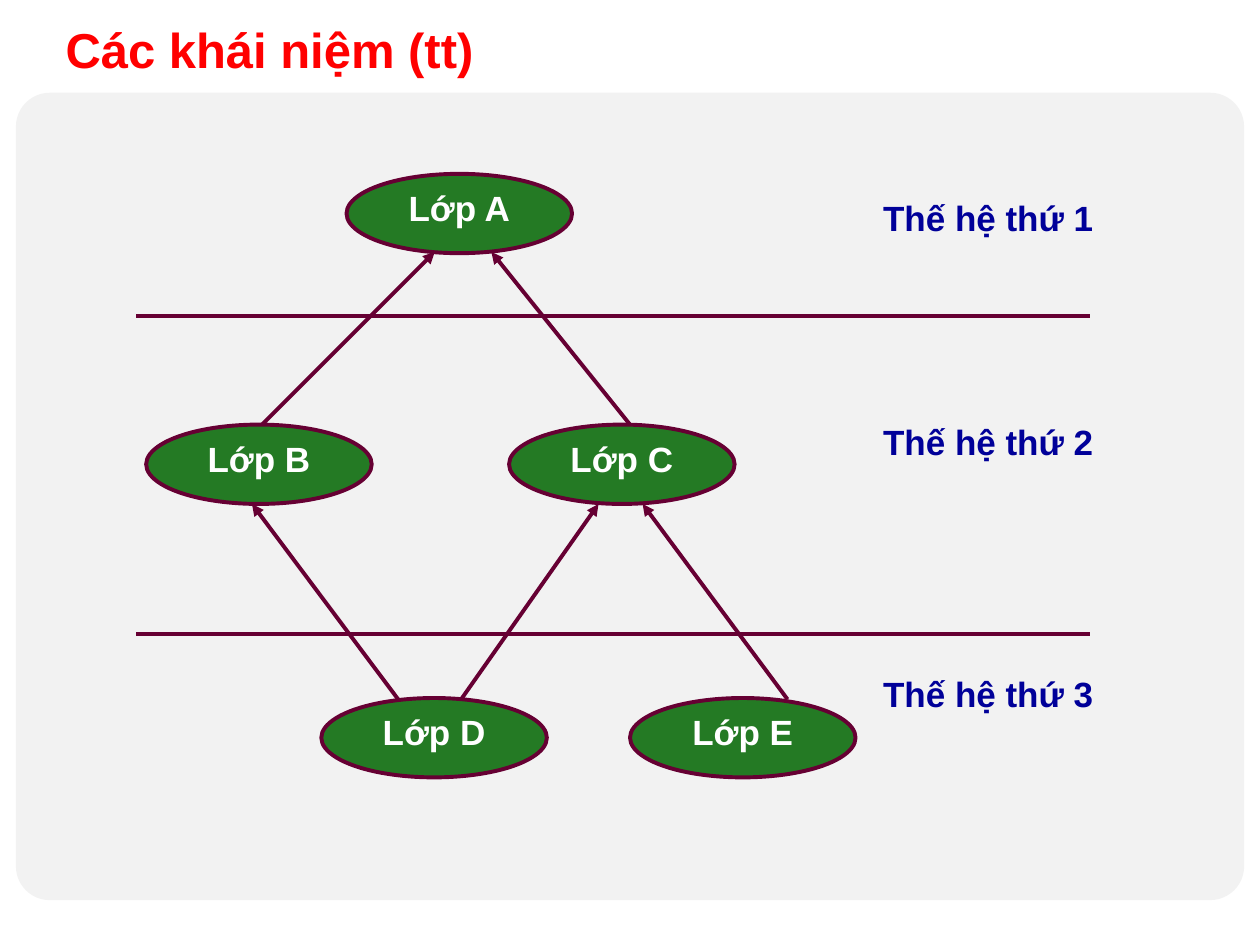
from lxml import etree
from pptx import Presentation
from pptx.dml.color import RGBColor
from pptx.enum.shapes import MSO_CONNECTOR, MSO_SHAPE
from pptx.enum.text import MSO_ANCHOR, PP_ALIGN
from pptx.oxml.ns import qn
from pptx.util import Inches, Pt

STRAIGHT = MSO_CONNECTOR.STRAIGHT
OVAL, ROUNDED = MSO_SHAPE.OVAL, MSO_SHAPE.ROUNDED_RECTANGLE
TOP, MIDDLE = MSO_ANCHOR.TOP, MSO_ANCHOR.MIDDLE
LEFT, CENTER = PP_ALIGN.LEFT, PP_ALIGN.CENTER


def rgb(value):
    """Turn a hex string into a colour."""
    return RGBColor.from_string(value)


def write(sp, text, size, color, align=LEFT, anchor=TOP):
    """Put one bold Arial line into a shape."""
    tf = sp.text_frame
    tf.text = text
    tf.word_wrap = True
    tf.vertical_anchor = anchor
    p = tf.paragraphs[0]
    p.alignment = align
    font = p.runs[0].font
    font.name, font.size, font.bold = "Arial", Pt(size), True
    font.color.rgb = rgb(color)


prs = Presentation()
prs.slide_width, prs.slide_height = Inches(10), Inches(7.5)
s = prs.slides.add_slide(prs.slide_layouts[5])

title = s.shapes.title
title.left, title.top = Inches(0.42), Inches(0.01)
title.width, title.height = Inches(8.66), Inches(0.75)
write(title, "Các khái niệm (tt)", 28, "FF0000", anchor=MIDDLE)

panel = s.shapes.add_shape(ROUNDED, Inches(0.14), Inches(0.75), Inches(9.72), Inches(6.38))
panel.adjustments[0] = 0.04
panel.shadow.inherit = False
panel.fill.solid()
panel.fill.fore_color.rgb = panel.line.color.rgb = rgb("F2F2F2")
panel.line.width = Pt(2)

# Class ovals: left edge and the top of their generation row
ROW_1, ROW_2, ROW_3 = 1.38, 3.37, 5.54
classes = {"A": (2.75, ROW_1), "B": (1.16, ROW_2), "C": (4.04, ROW_2),
           "D": (2.55, ROW_3), "E": (5, ROW_3)}
for name, (x, y) in classes.items():
    sp = s.shapes.add_shape(OVAL, Inches(x), Inches(y), Inches(1.79), Inches(0.63))
    sp.shadow.inherit = False
    sp.fill.solid()
    sp.fill.fore_color.rgb = rgb("006600")
    fill_color = sp.fill._xPr.find(qn("a:solidFill"))[0]
    etree.SubElement(fill_color, qn("a:alpha")).set("val", "85000")
    sp.line.color.rgb = rgb("660033")
    sp.line.width = Pt(2.25)
    tf = sp.text_frame
    tf.margin_left = tf.margin_right = Inches(0.02)
    tf.margin_top = tf.margin_bottom = Inches(0.01)
    write(sp, f"Lớp {name}", 20, "FFFFFF", CENTER)

# Generation dividers, then inheritance arrows from child to parent
dividers = [(1.08, y, 8.65, y) for y in (2.51, 5.03)]
arrows = [(2.08, 3.37, 3.45, 2), (5, 3.37, 3.9, 2),
          (3.16, 5.55, 2, 4), (3.66, 5.55, 4.75, 4), (6.25, 5.55, 5.1, 4)]
for ends in dividers + arrows:
    line = s.shapes.add_connector(STRAIGHT, *[Inches(v) for v in ends])
    line.line.color.rgb = rgb("660033")
    line.line.width = Pt(2.25)
    if ends in arrows:
        etree.SubElement(line.line._get_or_add_ln(), qn("a:tailEnd")).set("type", "triangle")
    etree.SubElement(line._element.spPr, qn("a:effectLst"))

for number, y in enumerate((1.51, 3.29, 5.29), 1):
    label = s.shapes.add_textbox(Inches(6.91), Inches(y), Inches(2.25), Inches(0.5))
    write(label, f"Thế hệ thứ {number}", 20, "000099")

prs.save("out.pptx")
